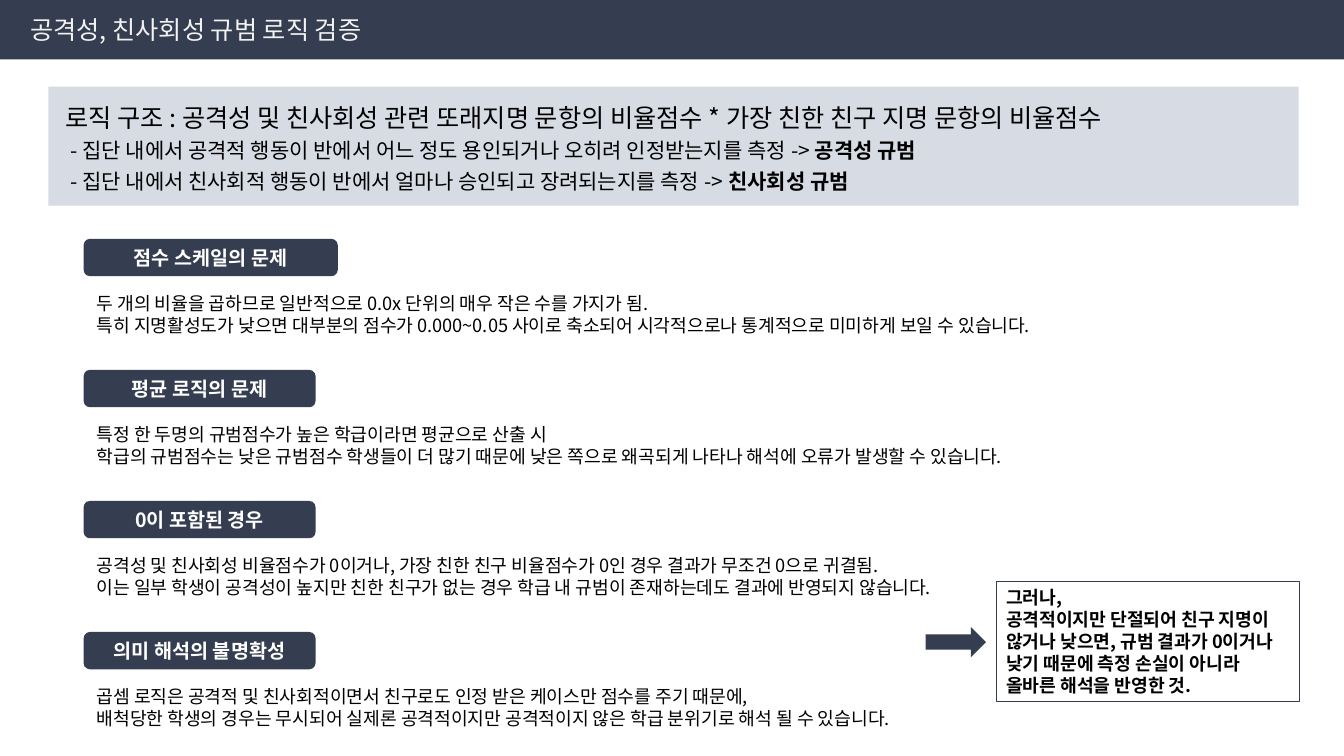
import pptx
import pptx.util
import pptx.dml.color
import pptx.enum.shapes
import pptx.enum.text
from lxml import etree

Inches = pptx.util.Inches
RGBColor = pptx.dml.color.RGBColor
MSO_SHAPE = pptx.enum.shapes.MSO_SHAPE
ANCHOR = pptx.enum.text.MSO_ANCHOR
ALIGN = pptx.enum.text.PP_ALIGN

FONT = "Noto Sans CJK KR"
NAVY = RGBColor(0x35, 0x3D, 0x50)
PALE = RGBColor(0xD7, 0xDB, 0xE4)
LIGHT = RGBColor(0xF2, 0xF2, 0xF2)
WHITE = RGBColor(0xFF, 0xFF, 0xFF)
BLACK = RGBColor(0, 0, 0)

SECTIONS = [
    ("점수 스케일의 문제", 2.52, 10.1, [
        "두 개의 비율을 곱하므로 일반적으로 0.0x 단위의 매우 작은 수를 가지가 됨.",
        "특히 지명활성도가 낮으면 대부분의 점수가 0.000~0.05 사이로 축소되어 시각적으로나 통계적으로 미미하게 보일 수 있습니다."]),
    ("평균 로직의 문제", 2.3, 9.21, [
        "특정 한 두명의 규범점수가 높은 학급이라면 평균으로 산출 시",
        "학급의 규범점수는 낮은 규범점수 학생들이 더 많기 때문에 낮은 쪽으로 왜곡되게 나타나 해석에 오류가 발생할 수 있습니다."]),
    ("0이 포함된 경우", 2.3, 9.21, [
        "공격성 및 친사회성 비율점수가 0이거나, 가장 친한 친구 비율점수가 0인 경우 결과가 무조건 0으로 귀결됨.",
        "이는 일부 학생이 공격성이 높지만 친한 친구가 없는 경우 학급 내 규범이 존재하는데도 결과에 반영되지 않습니다."]),
    ("의미 해석의 불명확성", 2.3, 9.21, [
        "곱셈 로직은 공격적 및 친사회적이면서 친구로도 인정 받은 케이스만 점수를 주기 때문에,",
        "배척당한 학생의 경우는 무시되어 실제론 공격적이지만 공격적이지 않은 학급 분위기로 해석 될 수 있습니다."]),
]
NORMS = [
    ("- 집단 내에서 공격적 행동이 반에서 어느 정도 용인되거나 오히려 인정받는지를 측정 -> ", "공격성 규범"),
    ("- 집단 내에서 친사회적 행동이 반에서 얼마나 승인되고 장려되는지를 측정 -> ", "친사회성 규범"),
]
REBUTTAL = [
    "그러나,",
    "공격적이지만 단절되어 친구 지명이 않거나 낮으면, 규범 결과가 0이거나 낮기 때문에 측정 손실이 아니라 올바른 해석을 반영한 것.",
]


def add_run(p, text, size=13, color=BLACK, bold=False):
    """Append a formatted run to a paragraph."""
    r = p.add_run()
    r.text = text
    r.font.name = FONT
    r.font.size = pptx.util.Pt(size)
    r.font.bold = bold
    r.font.color.rgb = color
    ea = etree.SubElement(r.font._element, pptx.oxml.ns.qn("a:ea"))
    ea.set("typeface", FONT)


def write(s, lines, align=ALIGN.LEFT, anchor=ANCHOR.TOP, **fmt):
    """Fill a shape with one paragraph per line."""
    tf = s.text_frame
    tf.word_wrap = True
    tf.vertical_anchor = anchor
    for i, line in enumerate(lines):
        p = tf.add_paragraph() if i else tf.paragraphs[0]
        p.alignment = align
        add_run(p, line, **fmt)
    return tf


def add_box(slide, kind, x, y, w, h, fill=None, line=None):
    """Add a preset shape with an optional fill and outline."""
    s = slide.shapes.add_shape(kind, Inches(x), Inches(y), Inches(w), Inches(h))
    s.shadow.inherit = False
    if fill is None:
        s.fill.background()
    else:
        s.fill.solid()
        s.fill.fore_color.rgb = fill
    if line is None:
        s.line.fill.background()
    else:
        s.line.color.rgb = line
        s.line.width = pptx.util.Pt(0.75)
    return s


def add_text(slide, x, y, w, h, lines, **fmt):
    """Add a wrapped text box."""
    s = slide.shapes.add_textbox(Inches(x), Inches(y), Inches(w), Inches(h))
    return write(s, lines, **fmt)


def add_summary(slide):
    """Add the shaded panel that explains the logic."""
    add_box(slide, MSO_SHAPE.RECTANGLE, 0.48, 0.86, 12.4, 1.18, fill=PALE)
    tf = add_text(slide, 0.55, 0.91, 11.51, 1.05, [
        "로직 구조 : 공격성 및 친사회성 관련 또래지명 문항의 비율점수 * 가장 친한 친구 지명 문항의 비율점수"], size=18)
    for measure, norm in NORMS:
        p = tf.add_paragraph()
        p._p.get_or_add_pPr().set("marL", str(Inches(0.05)))
        add_run(p, measure, size=15)
        add_run(p, norm, size=15, bold=True)
    for p in tf.paragraphs:
        p.line_spacing = 1.2


def add_section(slide, y, title, title_w, body_w, lines):
    """Add a rounded heading with its explanation below."""
    s = add_box(slide, MSO_SHAPE.ROUNDED_RECTANGLE, 0.83, y, title_w, 0.37, fill=NAVY)
    write(s, [title], align=ALIGN.CENTER, size=14, color=WHITE, bold=True)
    add_text(slide, 0.86, y + 0.48, body_w, 0.54, lines)


def main():
    """Build and save the slide."""
    prs = pptx.Presentation()
    prs.slide_width, prs.slide_height = Inches(13.33), Inches(7.5)
    slide = prs.slides.add_slide(prs.slide_layouts[6])
    s = add_box(slide, MSO_SHAPE.RECTANGLE, 0, 0, 13.33, 0.59, fill=NAVY)
    tf = write(s, ["공격성, 친사회성 규범 로직 검증"], anchor=ANCHOR.MIDDLE, size=18, color=LIGHT)
    tf.margin_left = Inches(0.3)
    add_summary(slide)
    for i, section in enumerate(SECTIONS):
        add_section(slide, 2.37 + 1.3 * i, *section)
    add_box(slide, MSO_SHAPE.RIGHT_ARROW, 9.18, 6.22, 0.6, 0.3, fill=NAVY)
    s = add_box(slide, MSO_SHAPE.RECTANGLE, 9.88, 5.77, 3.01, 1.19, line=NAVY)
    write(s, REBUTTAL, bold=True)
    prs.save("out.pptx")


if __name__ == "__main__":
    main()
